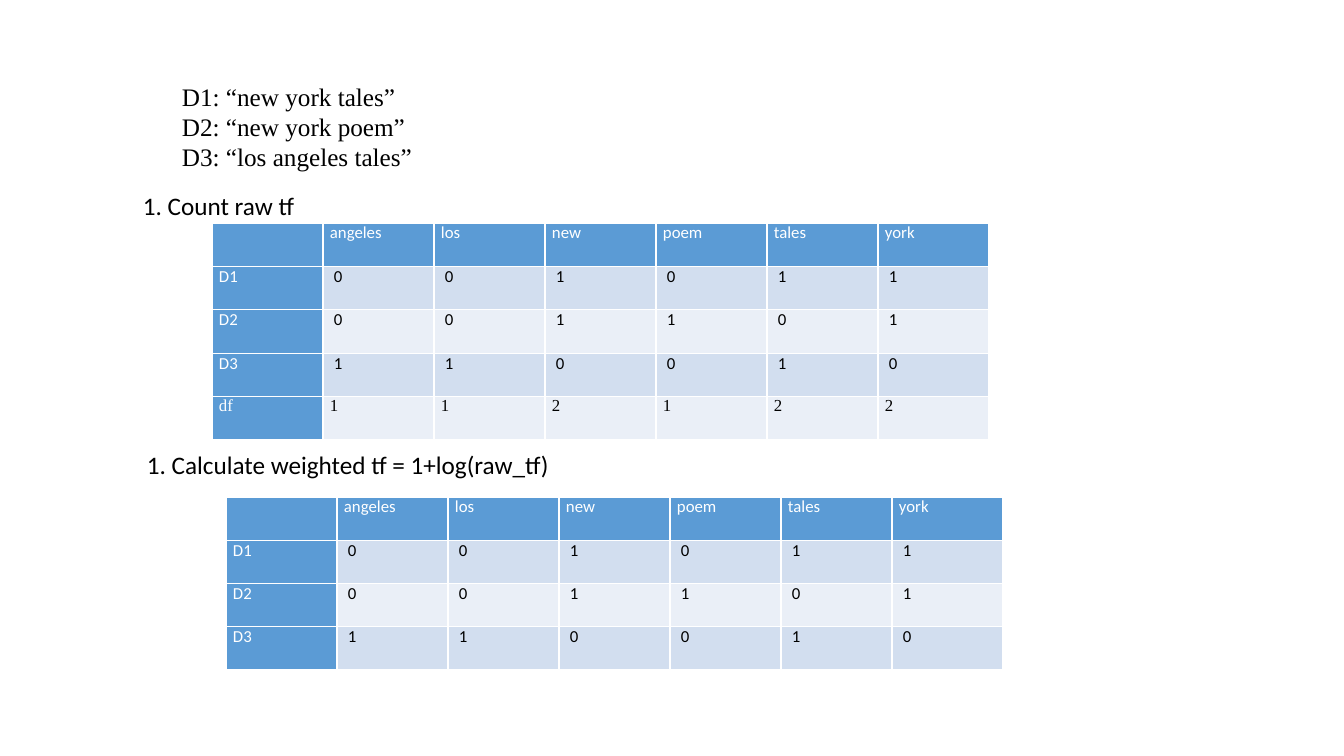
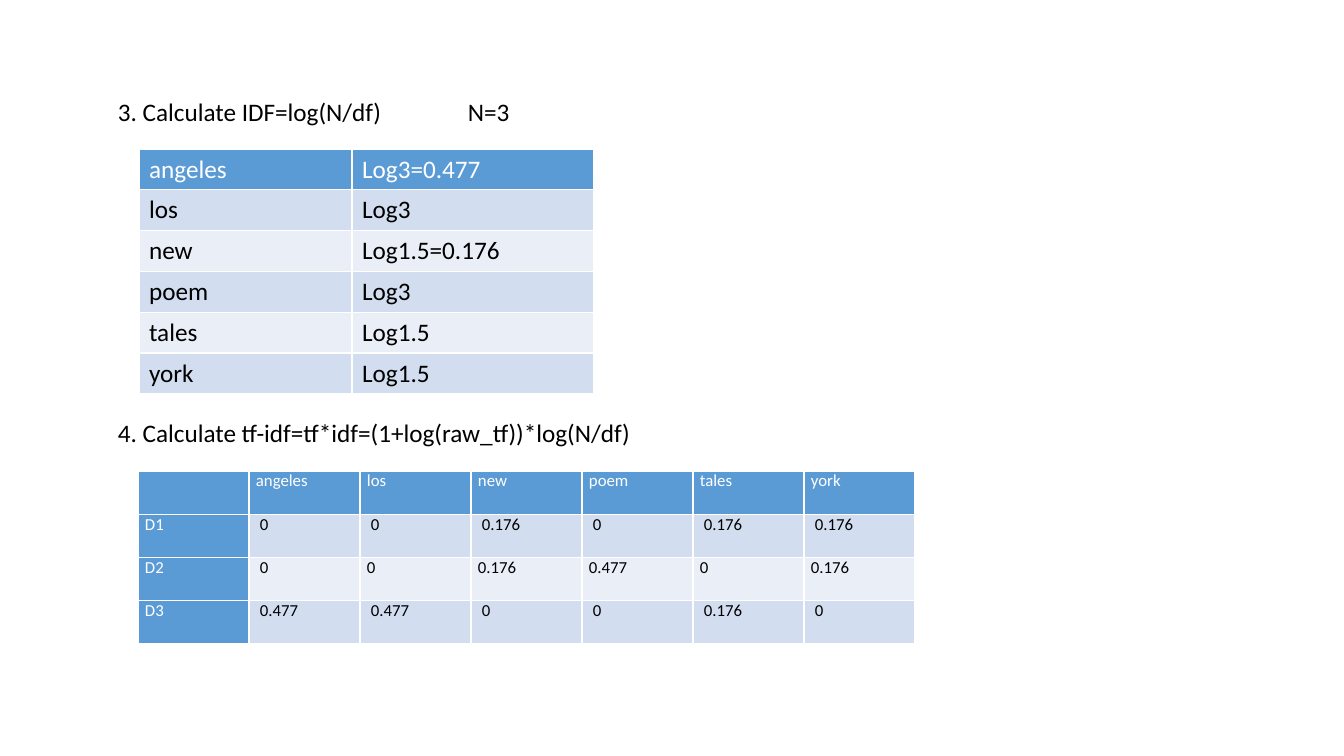
"""Build two slides that work through a tf-idf example."""
from pptx import Presentation
from pptx.dml.color import RGBColor
from pptx.enum.text import MSO_AUTO_SIZE as AutoSize
from pptx.util import Emu, Pt

SANS, SERIF = "Calibri", "Times New Roman"
BLACK, WHITE, BLUE = "000000", "FFFFFF", "5B9BD5"
BANDS = ("D2DEEF", "EAEFF7")

TERMS = ["angeles", "los", "new", "poem", "tales", "york"]
HEADER = ["", *TERMS]
COUNTS = [
    ["D1", "0", "0", "1", "0", "1", "1"],
    ["D2", "0", "0", "1", "1", "0", "1"],
    ["D3", "1", "1", "0", "0", "1", "0"],
]
DF = ["df", "1", "1", "2", "1", "2", "2"]
TF_IDF = [
    ["D1", "0", "0", "0.176", "0", "0.176", "0.176"],
    ["D2", "0", "0", "0.176", "0.477", "0", "0.176"],
    ["D3", "0.477", "0.477", "0", "0", "0.176", "0"],
]
IDF = ["Log3=0.477", "Log3", "Log1.5=0.176", "Log3", "Log1.5", "Log1.5"]

MATRIX_COLS = [111] * len(HEADER)
MATRIX_MARGIN, INDENTED_MARGIN = 7, 11
FLUSH_DF = {(4, c) for c in range(1, 7)}
FLUSH_D2 = {(2, c) for c in range(2, 7)}

SLIDES = [
    {
        "texts": [
            (172, 76, 672, 102, SERIF,
             ["D1: “new york tales”", "D2: “new york poem”", "D3: “los angeles tales”"]),
            (133, 185, 542, 40, SANS, ["1. Count raw tf"]),
            (137, 444, 542, 40, SANS, ["1. Calculate weighted tf = 1+log(raw_tf)"]),
        ],
        "matrices": [
            (212, 223, 217, [HEADER, *COUNTS, DF], FLUSH_DF),
            (226, 497, 173, [HEADER, *COUNTS], set()),
        ],
        "lists": [],
    },
    {
        "texts": [
            (108, 91, 418, 40, SANS, ["3. Calculate IDF=log(N/df)"]),
            (458, 91, 195, 40, SANS, ["N=3"]),
            (108, 412, 649, 40, SANS,
             ["4. Calculate tf-idf=tf*idf=(1+log(raw_tf))*log(N/df)"]),
        ],
        "matrices": [(138, 471, 173, [HEADER, *TF_IDF], FLUSH_D2)],
        "lists": [(139, 149, 245, [213, 242], list(zip(TERMS, IDF)))],
    },
]


def px(n):
    return Emu(round(n * 914400 / 100.8))


def rgb(color):
    return RGBColor.from_string(color)


def add_run(p, text, size, font, color):
    r = p.add_run()
    r.text = text
    r.font.size, r.font.name, r.font.bold = Pt(size), font, False
    r.font.color.rgb = rgb(color)


def add_text(slide, x, y, w, h, font, lines):
    tf = slide.shapes.add_textbox(px(x), px(y), px(w), px(h)).text_frame
    tf.word_wrap = True
    tf.auto_size = AutoSize.SHAPE_TO_FIT_TEXT
    for i, line in enumerate(lines):
        p = tf.paragraphs[0] if i == 0 else tf.add_paragraph()
        add_run(p, line, 18, font, BLACK)


def add_grid(slide, x, y, h, cols, rows, size, first_col):
    shape = slide.shapes.add_table(len(rows), len(cols), px(x), px(y), px(sum(cols)), px(h))
    table = shape.table
    table.first_col = first_col
    for col, w in zip(table.columns, cols):
        col.width = px(w)
    for i, values in enumerate(rows):
        table.rows[i].height = px(h / len(rows))
        for j, value in enumerate(values):
            cell = table.cell(i, j)
            head = i == 0 or (first_col and j == 0)
            cell.fill.solid()
            cell.fill.fore_color.rgb = rgb(BLUE if head else BANDS[(i - 1) % 2])
            if value:
                font = SERIF if values[0] == "df" else SANS
                add_run(cell.text_frame.paragraphs[0], value, size, font,
                        WHITE if head else BLACK)
    return table


def add_matrix(slide, x, y, h, rows, flush):
    table = add_grid(slide, x, y, h, MATRIX_COLS, rows, 12, True)
    for i in range(len(rows)):
        for j in range(len(MATRIX_COLS)):
            cell = table.cell(i, j)
            indented = i and j and (i, j) not in flush
            cell.margin_left = px(INDENTED_MARGIN if indented else MATRIX_MARGIN)
            cell.margin_right = px(MATRIX_MARGIN)
            cell.margin_top = cell.margin_bottom = 0


def main():
    prs = Presentation()
    prs.slide_width, prs.slide_height = px(1344), px(756)
    for content in SLIDES:
        slide = prs.slides.add_slide(prs.slide_layouts[6])
        for text in content["texts"]:
            add_text(slide, *text)
        for matrix in content["matrices"]:
            add_matrix(slide, *matrix)
        for x, y, h, cols, rows in content["lists"]:
            add_grid(slide, x, y, h, cols, rows, 18, False)
    prs.save("out.pptx")


if __name__ == "__main__":
    main()
